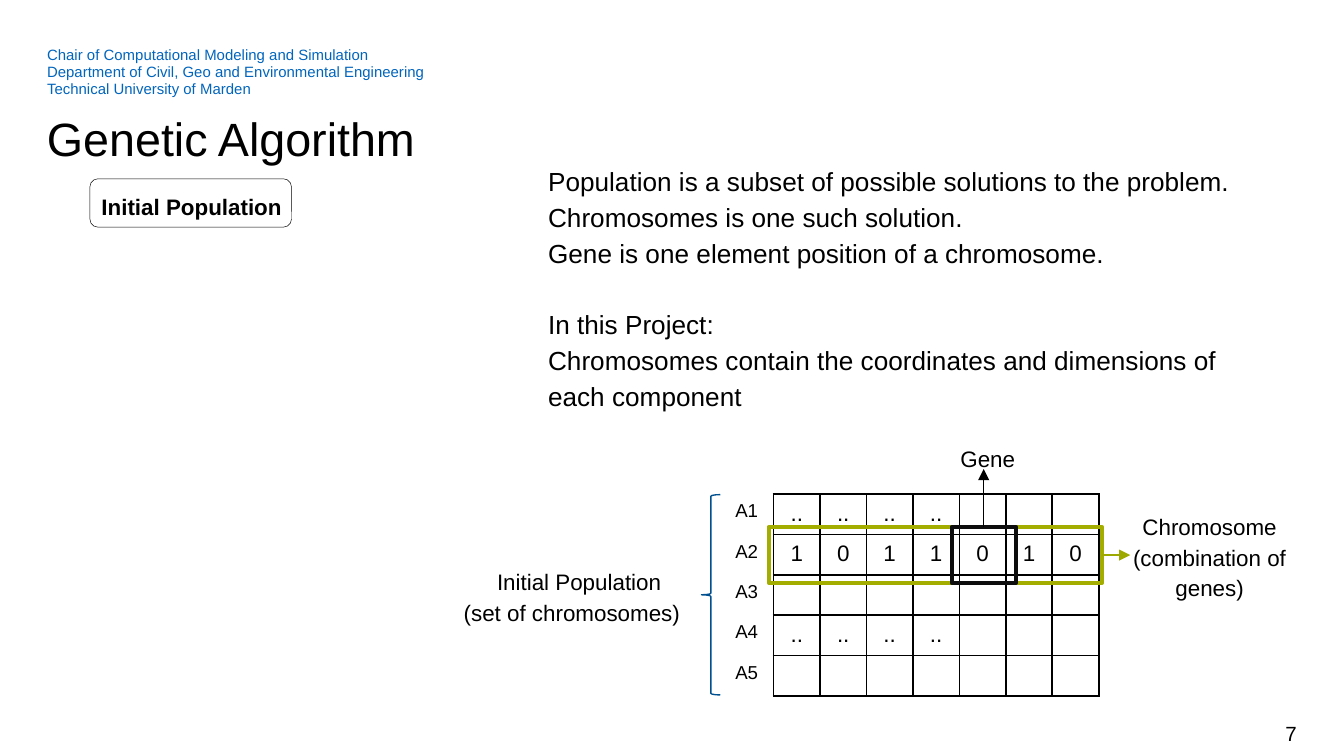
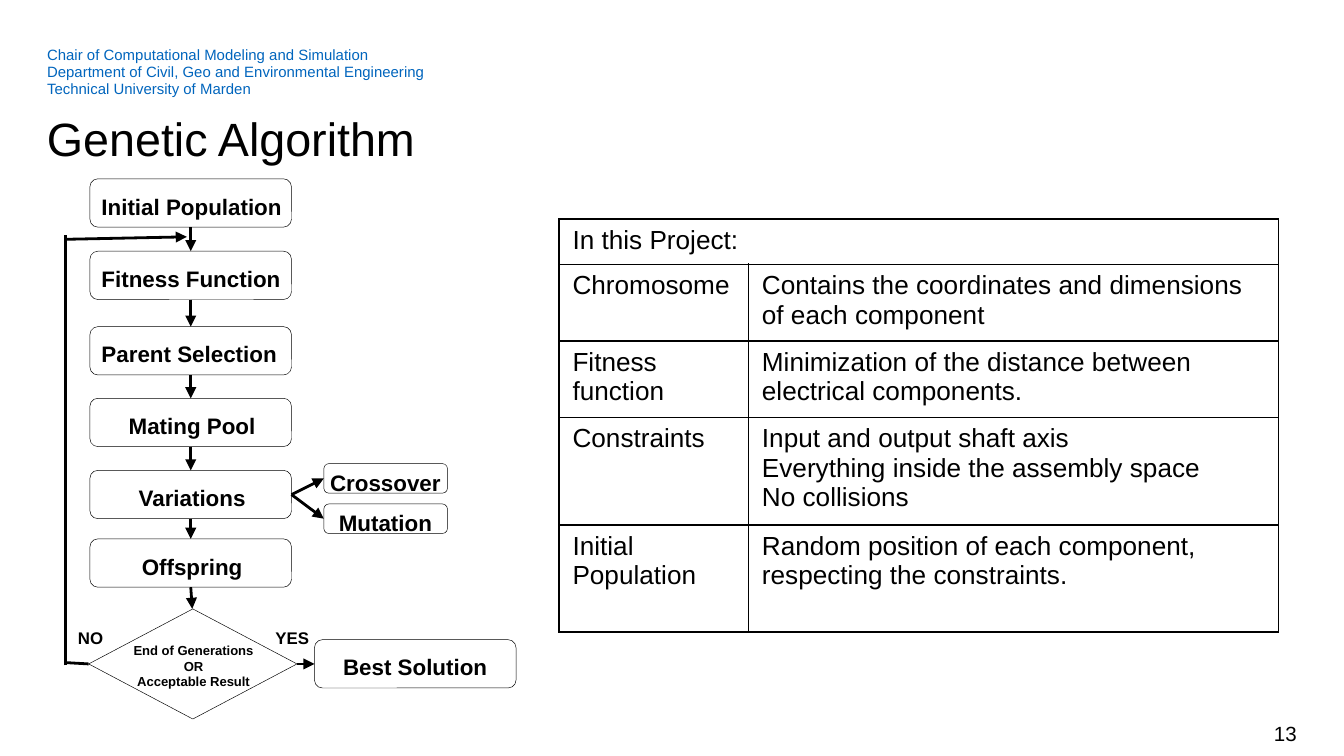
from itertools import pairwise

from lxml.etree import SubElement
from pptx import Presentation
from pptx.dml.color import RGBColor
from pptx.enum.shapes import MSO_CONNECTOR, MSO_SHAPE as SHAPE
from pptx.enum.text import MSO_ANCHOR, MSO_AUTO_SIZE, PP_ALIGN as ALIGN
from pptx.oxml.ns import qn
from pptx.util import Pt

color = RGBColor.from_string
BLACK, HEADER_BLUE, BRACE_BLUE = "000000", "0065BD", "005090"
GREEN, ARROW_GREEN, GENE_BLACK = "A2AD00", "9EA900", "0D0D0D"
BODY = {"line_spacing": 1.14}
CENTERED = {"line_spacing": 1.14, "alignment": ALIGN.CENTER}


def write(frame, lines, size, layout, bold=False, ink=BLACK):
    """Fill a text frame with one paragraph per line."""
    for index, line in enumerate(lines):
        paragraph = frame.add_paragraph() if index else frame.paragraphs[0]
        for name, value in layout.items():
            setattr(paragraph, name, value)
        if not line:
            SubElement(paragraph._p, qn("a:endParaRPr"), sz=str(size * 100))
            continue
        run = paragraph.add_run()
        run.text = line
        run.font.color.rgb = color(ink)
        for name, value in {"name": "Arial", "size": Pt(size), "bold": bold}.items():
            setattr(run.font, name, value)


def add_text(slide, box, lines, size, layout, bold=False, ink=BLACK):
    frame = slide.shapes.add_textbox(*map(Pt, box)).text_frame
    for side in ("left", "right", "top", "bottom"):
        setattr(frame, f"margin_{side}", 0)
    frame.word_wrap = True
    frame.auto_size = MSO_AUTO_SIZE.SHAPE_TO_FIT_TEXT
    write(frame, lines, size, layout, bold, ink)
    return frame


presentation = Presentation()
presentation.slide_width, presentation.slide_height = Pt(720), Pt(405)

# Shared header, title and page number
header = [
    "Chair of Computational Modeling and Simulation",
    "Department of Civil, Geo and Environmental Engineering",
    "Technical University of Marden",
]
slides = []
for page_number in ("7", "13"):
    slide = presentation.slides.add_slide(presentation.slide_layouts[6])
    add_text(slide, (25.2, 25.2, 564, 27.4), header, 8, {"line_spacing": 0.94}, ink=HEADER_BLUE)
    add_text(slide, (25.2, 56.9, 670, 30.2), ["Genetic Algorithm"], 25, {"line_spacing": Pt(32)})
    footer = add_text(slide, (533.5, 382.3, 161.3, 21.6), [page_number], 11,
                      {"alignment": ALIGN.RIGHT})
    footer.auto_size = MSO_AUTO_SIZE.NONE
    footer.vertical_anchor = MSO_ANCHOR.MIDDLE
    footer.margin_top = footer.margin_bottom = Pt(3.6)
    slides.append(slide)
population, summary = slides

# Tables: the gene grid and the project summary
dots = [".."] * 4 + [""] * 3
empty = [""] * 7
genes = [["A1", *dots], ["A2", *"1011010"], ["A3", *empty], ["A4", *dots], ["A5", *empty]]
project = [
    ["In this Project:", ""],
    ["Chromosome", "Contains the coordinates and dimensions of each component"],
    ["Fitness function", "Minimization of the distance between electrical components."],
    ["Constraints",
     "Input and output shaft axis\nEverything inside the assembly space\nNo collisions"],
    ["Initial Population", "Random position of each component, respecting the constraints."],
]
tables = [
    (population, (385.6, 264.7), [28.8] + [24.9] * 7, [21.65] * 5, genes, 12,
     {"alignment": ALIGN.CENTER}),
    (summary, (299.5, 117.4), [101.5, 284], [24.2, 41, 41, 57.5, 57.5], project, 14, {}),
]
for slide, (left, top), widths, heights, rows, size, layout in tables:
    graphic = slide.shapes.add_table(len(rows), len(widths), Pt(left), Pt(top),
                                     Pt(sum(widths)), Pt(sum(heights)))
    table = graphic.table
    table.first_row = table.horz_banding = False
    for style in graphic.element.iter(qn("a:tableStyleId")):
        style.text = "{2D5ABB26-0587-4C30-8999-92F81FD0307C}"
    for column, width in zip(table.columns, widths):
        column.width = Pt(width)
    for row, height in zip(table.rows, heights):
        row.height = Pt(height)
    for row_index, row in enumerate(rows):
        for column_index, text in enumerate(row):
            cell = table.cell(row_index, column_index)
            row_label = slide is population and column_index == 0
            write(cell.text_frame, text.split("\n"), 10 if row_label else size, layout)
            properties = cell._tc.get_or_add_tcPr()
            for side in "R" if row_label else "LRTB":
                border = SubElement(properties, qn(f"a:ln{side}"), w=str(Pt(1)))
                fill = SubElement(border, qn("a:solidFill"))
                SubElement(fill, qn("a:srgbClr"), val=BLACK)
            cell.fill.background()
summary_table = table
summary_table.cell(0, 0).merge(summary_table.cell(0, 1))

# Outlined shapes
step_left, step_width, step_height = 48.2, 108, 25.9
step_tops = [95.8, 134.6, 175, 213.4, 252, 288.7]
step_names = ["Initial Population", "Fitness Function", "Parent Selection",
              "Mating Pool", "Variations", "Offspring"]
variations = [("Crossover", 248.4), ("Mutation", 270)]
flow_shapes = [(SHAPE.ROUNDED_RECTANGLE, step_left, top, step_width, step_height)
               for top in step_tops]
flow_shapes += [(SHAPE.ROUNDED_RECTANGLE, 173.5, top, 66.2, 15.8) for _, top in variations]
flow_shapes += [(SHAPE.ROUNDED_RECTANGLE, 168.5, 342.7, step_width, step_height),
                (SHAPE.FLOWCHART_DECISION, 47.5, 326.2, 111.6, 59)]
outlines = [(summary, *shape, BLACK, 0.25) for shape in flow_shapes]
outlines += [
    (population, *flow_shapes[0], BLACK, 0.25),
    (population, SHAPE.LEFT_BRACE, 375.8, 265, 10.1, 107.3, BRACE_BLUE, 0.75),
    (population, SHAPE.RECTANGLE, 411.8, 282.2, 178.6, 30.2, GREEN, 2),
    (population, SHAPE.RECTANGLE, 509.8, 282.2, 34.6, 30.2, GENE_BLACK, 2),
]
for slide, kind, left, top, width, height, ink, weight in outlines:
    shape = slide.shapes.add_shape(kind, Pt(left), Pt(top), Pt(width), Pt(height))
    shape.shadow.inherit = False
    shape.fill.background()
    shape.line.color.rgb = color(ink)
    shape.line.width = Pt(weight)

# Flow chart labels
for index, (name, top) in enumerate(zip(step_names, step_tops)):
    layout = BODY if index < 3 else CENTERED
    box = (54.4 if index < 3 else 54, top + 5.4, 97.9, 15.1)
    for slide in slides if index == 0 else [summary]:
        add_text(slide, box, [name], 12, layout, bold=True)
for name, top in variations:
    add_text(summary, (173.5, top + 0.7, 66, 15.1), [name], 12, CENTERED, bold=True)
add_text(summary, (173.5, 347.8, 97.9, 15.1), ["Best Solution"], 12, CENTERED, bold=True)
add_text(summary, (64.1, 344.2, 79.2, 25.2), ["End of Generations", "OR", "Acceptable Result"],
         7, {"alignment": ALIGN.CENTER}, bold=True)
for answer, left in (("YES", 147.6), ("NO", 41.8)):
    add_text(summary, (left, 334.8, 23.8, 11.5), [answer], 9, BODY, bold=True)

# Population slide: explanation and grid labels
explanation = add_text(population, (293.6, 86.4, 389.5, 172), [
    "Population is a subset of possible solutions to the problem.",
    "Chromosomes is one such solution.",
    "Gene is one element position of a chromosome.",
    "In this Project:",
    "Chromosomes contain the coordinates and dimensions of each component",
], 14, BODY)
explanation.paragraphs[3].space_before = Pt(19.2)
brace_label = add_text(population, (248.4, 302.4, 123.8, 31.7),
                       ["Initial Population", "(set of chromosomes)"], 12, CENTERED)
brace_label.paragraphs[1].alignment = ALIGN.LEFT
add_text(population, (605.5, 272.9, 85, 48.2), ["Chromosome (combination of genes)"], 12, CENTERED)
add_text(population, (510.5, 236.2, 37.4, 15.1), ["Gene"], 12, CENTERED)

# Lines and arrows
middle = step_left + step_width / 2
step_right = step_left + step_width
flow_lines = [(middle, top + step_height, middle, below, True)
              for top, below in pairwise(step_tops)]
flow_lines += [
    (step_right, 265, 173.5, 256.3, True),
    (step_right, 265, 173.5, 277.9, True),
    (middle, 314.6, 103, 326.2, True),
    (159.1, 355.7, 168.5, 355.7, True),
    (47.5, 355.7, 35.3, 355, False),
    (35.3, 356.4, 35.3, 126, False),
    (36, 128.2, 100.1, 126.9, True),
]
lines = [(summary, *line, BLACK, 1.5) for line in flow_lines]
lines += [(population, 590.4, 297.4, 605.5, 297.4, True, ARROW_GREEN, 0.75),
          (population, 527, 282.2, 527, 251.3, True, BLACK, 0.75)]
for slide, x1, y1, x2, y2, arrow, ink, weight in lines:
    connector = slide.shapes.add_connector(MSO_CONNECTOR.STRAIGHT, Pt(x1), Pt(y1), Pt(x2), Pt(y2))
    connector.line.color.rgb = color(ink)
    connector.line.width = Pt(weight)
    properties = connector.element.spPr
    if arrow:
        SubElement(properties.find(qn("a:ln")), qn("a:tailEnd"), type="triangle")
    SubElement(properties, qn("a:effectLst"))

presentation.save("out.pptx")
